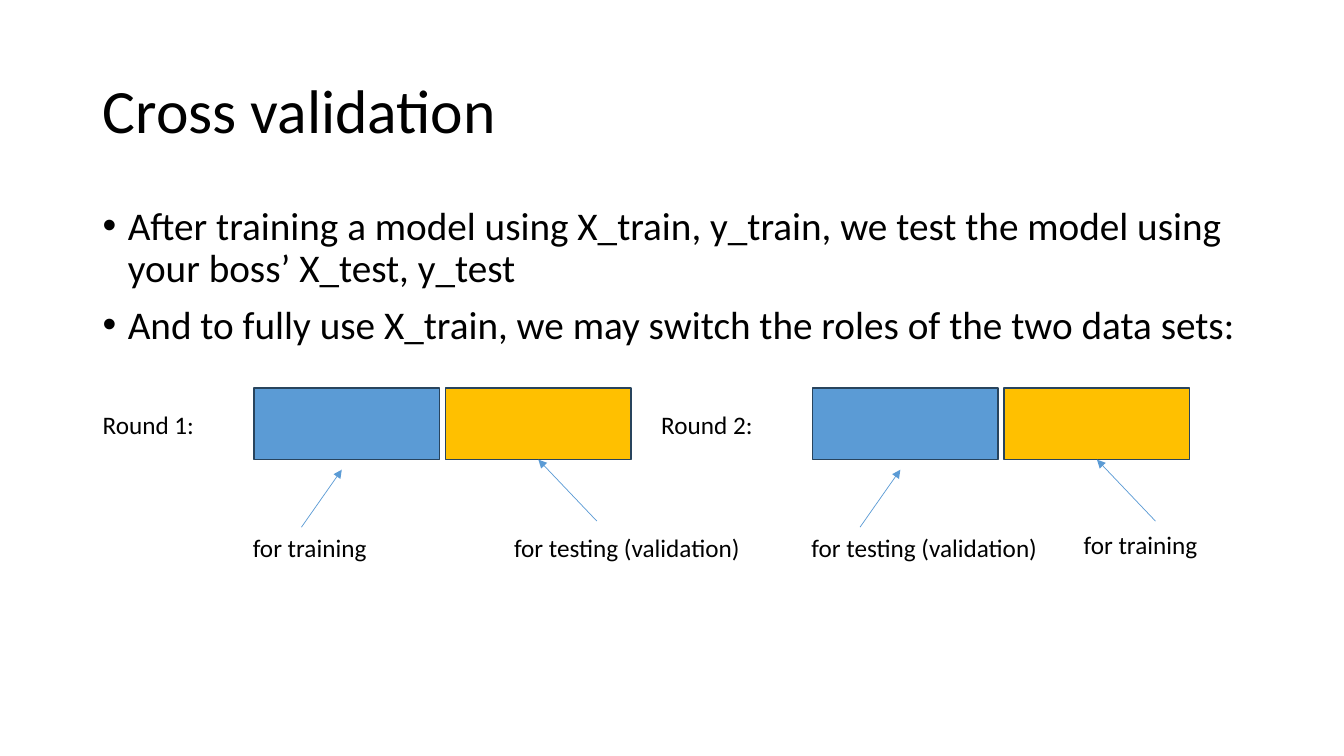
import pptx
import pptx.util
import pptx.dml.color
import pptx.enum.shapes
import pptx.enum.text
import pptx.oxml.ns
import lxml.etree

PX = 9144  # 100 px to the inch
BLUE, GOLD, EDGE, BLACK = "5B9BD5", "FFC000", "28445D", "000000"
ANCHOR = pptx.enum.text.MSO_ANCHOR
BULLET = {"line_spacing": 0.9, "space_before": pptx.util.Pt(10)}


def color(code):
    return pptx.dml.color.RGBColor.from_string(code)


def place(*sizes):
    return [pptx.util.Emu(size * PX) for size in sizes]


def style(item, values):
    for name, value in values.items():
        setattr(item, name, value)


def child(parent, tag, **values):
    return lxml.etree.SubElement(parent, pptx.oxml.ns.qn(tag), values)


def add_text(slide, box, lines, size, wrap=False, anchor=ANCHOR.TOP,
             form=None, bullet=False):
    frame = slide.shapes.add_textbox(*place(*box)).text_frame
    style(frame, {"word_wrap": wrap, "vertical_anchor": anchor})
    frame.text = "\n".join(lines)
    for para in frame.paragraphs:
        style(para, form or {})
        font = para.runs[0].font
        style(font, {"name": "Calibri", "size": pptx.util.Pt(size)})
        font.color.rgb = color(BLACK)
        if bullet:
            props = para._p.get_or_add_pPr()
            props.set("marL", str(25 * PX))
            props.set("indent", str(-25 * PX))
            child(props, "a:buFont", typeface="Arial")
            child(props, "a:buChar", char="•")


def add_bar(slide, left, fill):
    kind = pptx.enum.shapes.MSO_SHAPE.RECTANGLE
    bar = slide.shapes.add_shape(kind, *place(left, 385, 184, 71))
    bar.shadow.inherit = False
    bar.fill.solid()
    bar.fill.fore_color.rgb = color(fill)
    bar.line.color.rgb = color(EDGE)
    bar.line.width = pptx.util.Pt(1)


def add_arrow(slide, *ends):
    kind = pptx.enum.shapes.MSO_CONNECTOR.STRAIGHT
    arrow = slide.shapes.add_connector(kind, *place(*ends))
    arrow.line.color.rgb = color(BLUE)
    arrow.line.width = pptx.util.Pt(0.5)
    child(arrow.line._get_or_add_ln(), "a:tailEnd", type="triangle")
    child(arrow._element.spPr, "a:effectLst")


def add_round(slide, left, title, notes):
    add_text(slide, (left, 401, 112, 40), [title], 18)
    add_bar(slide, left + 160, BLUE)
    add_bar(slide, left + 350, GOLD)
    add_arrow(slide, left + 207, 523, left + 247, 466)
    add_arrow(slide, left + 500, 517, left + 442, 456)
    for note, x, y, width in notes:
        add_text(slide, (x, y, width, 40), [note], 18)


def main():
    deck = pptx.Presentation()
    style(deck, dict(zip(("slide_width", "slide_height"), place(1333, 750))))
    slide = deck.slides.add_slide(deck.slide_layouts[6])

    # Title and bullets
    add_text(slide, (92, 40, 1150, 145), ["Cross validation"], 44, True,
             ANCHOR.MIDDLE, {"line_spacing": 0.9})
    add_text(slide, (92, 200, 1150, 476), [
        "After training a model using X_train, y_train, "
        "we test the model using your boss’ X_test, y_test",
        "And to fully use X_train, we may switch the roles "
        "of the two data sets:",
    ], 28, True, form=BULLET, bullet=True)

    # Two rounds with the roles switched
    train, test = "for training", "for testing (validation)"
    add_round(slide, 92, "Round 1:",
              [(train, 241, 523, 134), (test, 500, 523, 247)])
    add_round(slide, 646, "Round 2:",
              [(test, 795, 523, 247), (train, 1065, 520, 134)])

    deck.save("out.pptx")


if __name__ == "__main__":
    main()
